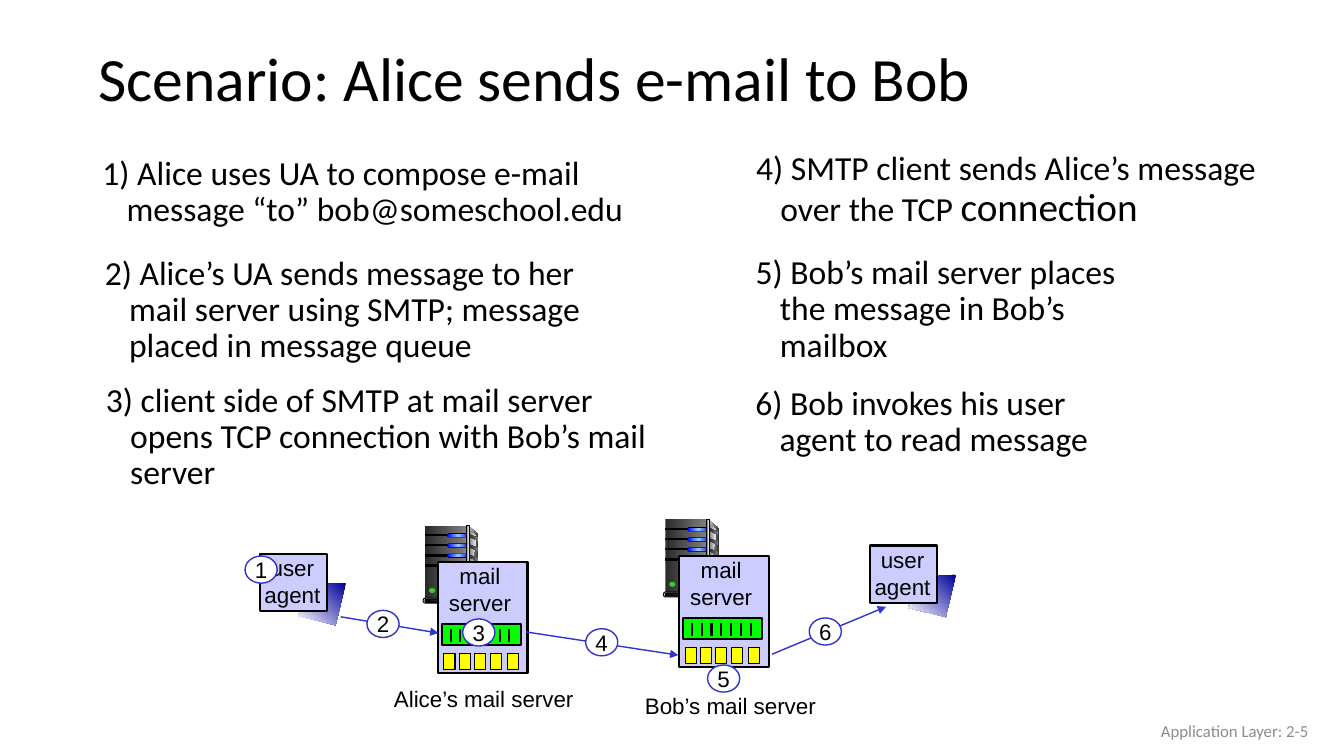
import lxml.etree
import pptx
import pptx.dml.color
import pptx.enum.shapes
import pptx.enum.text
import pptx.oxml.ns
import pptx.util

Pt = pptx.util.Pt
qn = pptx.oxml.ns.qn
SHAPE = pptx.enum.shapes.MSO_SHAPE
ALIGN = pptx.enum.text.PP_ALIGN
ANCHOR = pptx.enum.text.MSO_ANCHOR

COLORS = {
    "black": "000000", "white": "FFFFFF", "gray": "8C8C8C", "lilac": "CCCCFF",
    "navy": "000099", "arrow": "3333CC", "green": "00FF00", "yellow": "FFFF00",
    "blue": "0000FF", "sky": "99CCFF", "coal": "292929", "dark": "333333",
    "steel": "808080", "silver": "DDDDDD", "pale": "F8F8F8", "led": "33CC33",
}


class MailSlide:
    body_font = "Calibri"
    label_font = "Arial"
    label_size = 16

    def __init__(self, prs):
        self.s = prs.slides.add_slide(prs.slide_layouts[6])

    def color(self, name):
        return pptx.dml.color.RGBColor.from_string(COLORS[name])

    def style(self, sp, fill, line=None, width=0.75, angle=0):
        sp.shadow.inherit = False
        if isinstance(fill, tuple):
            sp.fill.gradient()
            sp.fill.gradient_angle = angle
            stops = sp._element.spPr.find(qn("a:gradFill")).find(qn("a:gsLst"))
            for stop in list(stops):
                stops.remove(stop)
            for i, name in enumerate(fill):
                pos = 100000 * i // (len(fill) - 1)
                stop = lxml.etree.SubElement(stops, qn("a:gs"), pos=str(pos))
                lxml.etree.SubElement(stop, qn("a:srgbClr"), val=COLORS[name])
        else:
            sp.fill.solid()
            sp.fill.fore_color.rgb = self.color(fill)
        if line:
            sp.line.color.rgb = self.color(line)
            sp.line.width = Pt(width)
        else:
            sp.line.fill.background()
        return sp

    def shape(self, kind, x, y, w, h, fill, line=None, width=0.75):
        sp = self.s.shapes.add_shape(kind, Pt(x), Pt(y), Pt(w), Pt(h))
        if kind == SHAPE.ROUNDED_RECTANGLE:
            sp.adjustments[0] = 0.5
        return self.style(sp, fill, line, width)

    def outline(self, x, y, points, fill, angle=0):
        points = [(Pt(x + dx), Pt(y + dy)) for dx, dy in points]
        builder = self.s.shapes.build_freeform(*points[0], scale=1.0)
        builder.add_line_segments(points[1:], close=True)
        self.style(builder.convert_to_shape(), fill, angle=angle)

    def line(self, x1, y1, x2, y2, color, width, arrow=False):
        cn = self.s.shapes.add_connector(
            pptx.enum.shapes.MSO_CONNECTOR.STRAIGHT, Pt(x1), Pt(y1), Pt(x2), Pt(y2))
        cn.line.color.rgb = self.color(color)
        cn.line.width = Pt(width)
        if arrow:
            lxml.etree.SubElement(cn.line._get_or_add_ln(), qn("a:tailEnd"), type="triangle")
        lxml.etree.SubElement(cn._element.spPr, qn("a:effectLst"))

    def run(self, p, text, size, font, color="black"):
        r = p.add_run()
        r.text = text
        r.font.size = Pt(size)
        r.font.name = font
        r.font.color.rgb = self.color(color)

    def box(self, x, y, w, h, wrap=True, anchor=ANCHOR.TOP):
        tf = self.s.shapes.add_textbox(Pt(x), Pt(y), Pt(w), Pt(h)).text_frame
        tf.word_wrap = wrap
        tf.vertical_anchor = anchor
        return tf

    def title(self, text):
        p = self.box(63.2, 23, 828, 70.6, anchor=ANCHOR.MIDDLE).paragraphs[0]
        p.line_spacing = 0.9
        self.run(p, text, 44, self.body_font)

    def footer(self, text):
        p = self.box(725.8, 507.6, 216, 28.8, anchor=ANCHOR.MIDDLE).paragraphs[0]
        p.alignment = ALIGN.RIGHT
        self.run(p, text, 12, self.body_font, "gray")

    def step(self, x, y, w, h, *runs):
        p = self.box(x, y, w, h).paragraphs[0]
        pPr = p._p.get_or_add_pPr()
        pPr.set("marL", str(Pt(28)))
        pPr.set("indent", str(Pt(-17.3)))
        p.line_spacing = 0.9
        for text, size in runs:
            self.run(p, text, size, self.body_font)

    def label(self, x, y, w, h, *lines, align=ALIGN.CENTER):
        tf = self.box(x, y, w, h, wrap=False)
        for i, text in enumerate(lines):
            p = tf.add_paragraph() if i else tf.paragraphs[0]
            p.alignment = align
            self.run(p, text, self.label_size, self.label_font)

    def badge(self, number, x, y):
        sp = self.shape(SHAPE.OVAL, x, y, 23, 19.4, "white", "arrow", 1)
        tf = sp.text_frame
        tf.word_wrap = False
        tf.vertical_anchor = ANCHOR.MIDDLE
        p = tf.paragraphs[0]
        p.alignment = ALIGN.CENTER
        self.run(p, str(number), self.label_size, self.label_font)

    def user_agent(self, x, y):
        self.outline(x, y, [(61.2, 20.9), (32.4, 22.3), (27.4, 44.6), (54, 51.1)],
                     ("navy", "white"), 225)
        self.shape(SHAPE.RECTANGLE, x, y, 47.5, 41, "lilac", "black", 1.5)
        self.label(x - 4.3, y - 3.1, 54.7, 46, "user", "agent")

    def tower(self, x, y):
        rect, bar = SHAPE.RECTANGLE, SHAPE.ROUNDED_RECTANGLE
        self.outline(x, y, [(33.1, 0.7), (39.6, 6.5), (39.6, 50.4), (31.7, 52.6)],
                     ("silver", "dark"))
        self.shape(rect, x + 1.4, y, 29.5, 51.8, ("coal", "steel"))
        self.outline(x, y, [(33.1, 3.6), (38.2, 7.9), (34.6, 30), (33.1, 51.1)],
                     ("steel", "pale"))
        slots = [y + 6.2 + 7.3 * i for i in range(4)]
        for slot in slots:
            self.shape(rect, x + 1.8, slot, 16.6, 1, "black", "black")
        for slot in slots[:3]:
            self.shape(bar, x + 17, slot - 0.7, 16.6, 3, "black")
            self.shape(bar, x + 17.3, slot - 0.2, 15.8, 2.2, ("blue", "sky", "blue"))
        self.shape(rect, x + 31, y, 2.2, 51.8, ("dark", "silver", "dark"), "black")
        for slot in slots[:3]:
            self.outline(x, slot, [(33.1, 0), (39.6, 2.9), (39.6, 4.8), (33.1, 2)],
                         ("coal", "steel"))
        self.shape(bar, x, y + 51.8, 33.8, 3.6, "silver", "black")
        self.shape(bar, x + 1.4, y + 52.6, 30.2, 2.2, ("black", "steel"), "black")
        self.shape(SHAPE.OVAL, x + 4.3, y + 44.6, 4.3, 3.6, "led")

    def mail_server(self, x, y, queued):
        rect = SHAPE.RECTANGLE
        self.shape(rect, x, y, 64, 79.2, "lilac", "black", 1.5)
        self.label(x + 0.5, y - 3.2, 59, 46, "mail", "server")
        self.shape(rect, x + 2.9, y + 44.6, 56.2, 15.1, "green", "black", 1.5)
        for i in queued:
            tick = x + 9.1 + 7 * i
            self.line(tick, y + 48, tick, y + 57, "black", 1.5)
        for dx in (4.3, 15.1, 25.9, 37.4, 49.7):
            self.shape(rect, x + dx, y + 65.3, 7.9, 11.5, "yellow", "black")


def main():
    prs = pptx.Presentation()
    prs.slide_width, prs.slide_height = Pt(960), Pt(540)
    slide = MailSlide(prs)
    slide.title("Scenario: Alice sends e-mail to Bob")

    slide.step(55.4, 108, 399.6, 90.7,
               ("1) Alice uses UA to compose e-mail message “to” bob@someschool.edu", 24))
    slide.step(57.1, 179.3, 399.6, 87,
               ("2) Alice’s UA sends message to her mail server using SMTP; "
                "message placed in message queue", 24))
    slide.step(57.9, 270, 429, 85.7,
               ("3) client side of SMTP at mail server opens TCP connection "
                "with Bob’s mail server", 24))
    slide.step(522.3, 104.4, 399.6, 74.2,
               ("4) SMTP client sends Alice’s message over the TCP ", 24),
               ("connection", 28))
    slide.step(522, 179, 300.2, 65.5,
               ("5) Bob’s mail server places the message in Bob’s mailbox", 24))
    slide.step(521.8, 272.2, 300.2, 65.5,
               ("6) Bob invokes his user agent to read message", 24))

    for x, y in ((185.8, 395.5), (621.6, 389.7)):
        slide.user_agent(x, y)
    for x, y in ((473.8, 371), (302.2, 375.4)):
        slide.tower(x, y)
    slide.mail_server(312.8, 401.3, (0, 1, 5, 6))
    slide.mail_server(485.1, 397, range(7))

    for ends in ((243.4, 440.6, 313.2, 452.2), (375.8, 451.4, 484.6, 468),
                 (551.5, 467.3, 632.9, 433.4)):
        slide.line(*ends, "arrow", 1, arrow=True)
    badges = ((175, 397.2), (262.1, 436), (330.5, 442.1),
              (418.3, 449.1), (505.4, 475), (578, 441.4))
    for number, (x, y) in enumerate(badges, 1):
        slide.badge(number, x, y)

    slide.label(274.3, 486, 143.3, 26.6, "Alice’s mail server", align=ALIGN.LEFT)
    slide.label(453.6, 491, 136.8, 26.6, "Bob’s mail server", align=ALIGN.LEFT)
    slide.footer("Application Layer: 2-5")
    prs.save("out.pptx")


if __name__ == "__main__":
    main()
